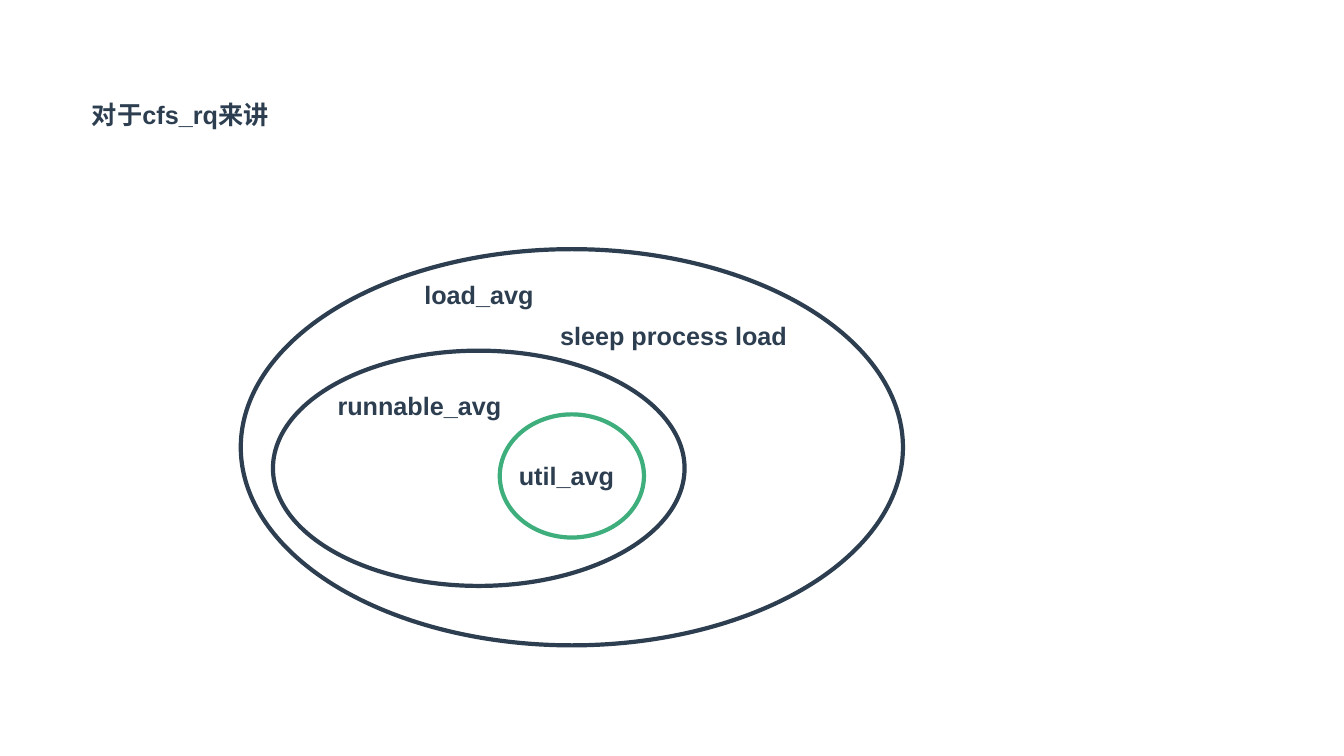
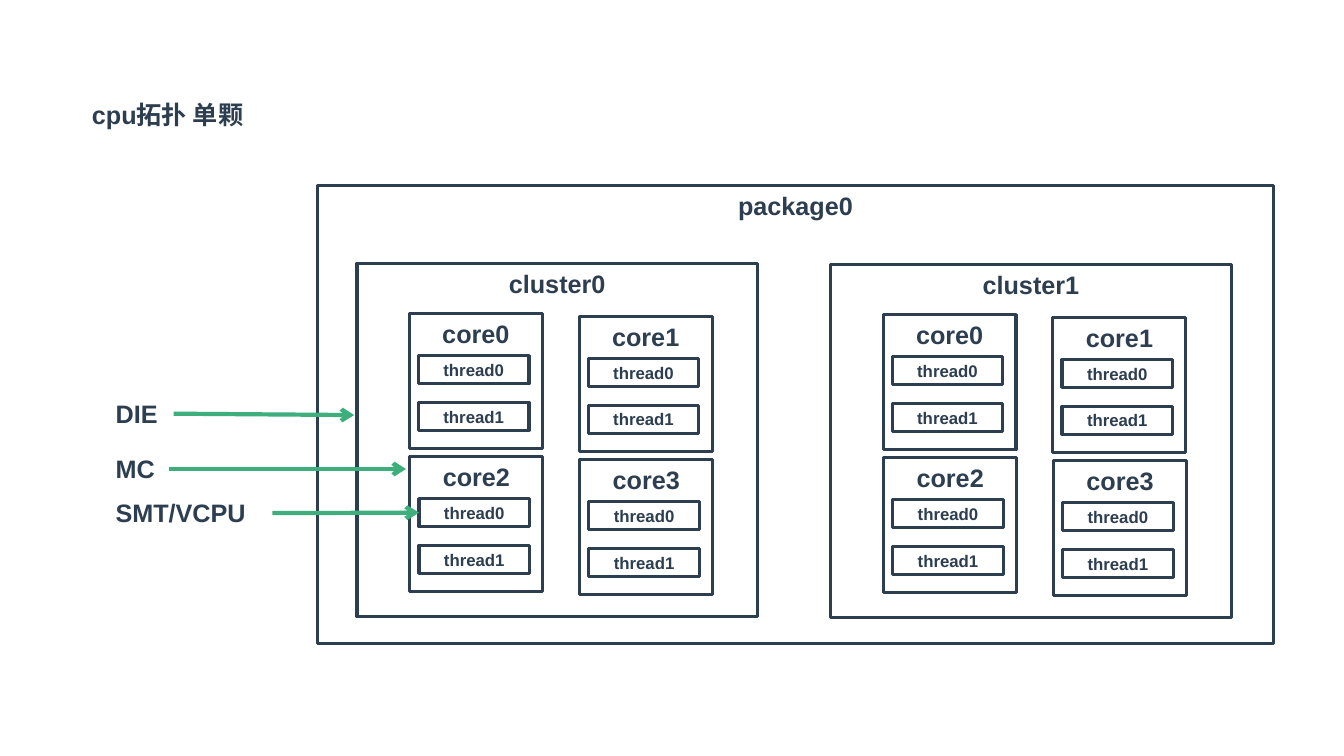
from dataclasses import dataclass
from itertools import product

from lxml.etree import SubElement
from pptx import Presentation
from pptx.dml.color import RGBColor
from pptx.enum.shapes import MSO_CONNECTOR as CONNECTOR, MSO_SHAPE as SHAPE
from pptx.enum.text import MSO_ANCHOR as ANCHOR, MSO_AUTO_SIZE as AUTO_SIZE, PP_ALIGN as ALIGN
from pptx.oxml.ns import qn
from pptx.util import Pt

NAVY, GREEN = "2C3E50", "3EAF7C"
FONT = "Arial"
LABEL_H = 29
RIGHT_SIDE, LEFT_SIDE = 3, 1


@dataclass(frozen=True)
class Box:
    x: float
    y: float
    w: float
    h: float = LABEL_H

    def lengths(self):
        return Pt(self.x), Pt(self.y), Pt(self.w), Pt(self.h)


@dataclass(frozen=True)
class Label:
    text: str
    box: Box


@dataclass(frozen=True)
class Ring:
    box: Box
    color: str = NAVY


@dataclass(frozen=True)
class Level:
    """A scheduling level: its label and the point its arrow reaches."""
    label: Label
    tip: tuple[float, float]
    joins_thread: bool = False


RINGS = [
    Ring(Box(172, 178, 473, 283)),
    Ring(Box(195, 250.5, 294, 168)),
    Ring(Box(357, 296, 103, 88), GREEN),
]
LOADS = [
    Label("sleep process load", Box(393, 225, 208)),
    Label("load_avg", Box(296, 196, 106)),
    Label("runnable_avg", Box(234, 275, 184)),
    Label("util_avg", Box(363.5, 325.5, 96)),
]
LEVELS = [
    Level(Label("DIE", Box(75.5, 281, 48.5)), (253, 296.5)),
    Level(Label("MC", Box(75.5, 320.5, 45.5)), (290, 335)),
    Level(Label("SMT/VCPU", Box(75.5, 352, 119)), (299, 366), joins_thread=True),
]

PACKAGE = Box(227, 132.5, 682.5, 327)
CLUSTER = Box(255, 188, 286, 252.5)
CLUSTER_STEP = (338.4, 0.7)
CORE_INSET, CORE_W, CORE_H = (37.4, 36), 95, 96.5
CORE_COLUMN, CORE_ROW = (121.3, 2.1), (0.4, 102.2)
THREAD_INSET, THREAD_W, THREAD_H, THREAD_STEP = (6.5, 30), 79, 20, 33.4


def rgb(color: str) -> RGBColor:
    return RGBColor.from_string(color)


def set_text(sp, text: str, *, size=18, color=NAVY, align=ALIGN.LEFT, anchor=ANCHOR.TOP):
    tf = sp.text_frame
    tf.word_wrap = True
    tf.auto_size = AUTO_SIZE.NONE
    tf.vertical_anchor = anchor
    p = tf.paragraphs[0]
    p.alignment = align
    p.line_spacing = 1.0
    r = p.add_run()
    r.text = text
    r.font.name, r.font.size, r.font.bold = FONT, Pt(size), True
    r.font.color.rgb = rgb(color)


def add_titled_slide(prs, title: str, width: float):
    s = prs.slides.add_slide(prs.slide_layouts[5])
    sp = s.shapes.title
    sp.left, sp.top, sp.width, sp.height = Box(58.5, 67, width).lengths()
    set_text(sp, title)
    return s


def add_label(s, label: Label):
    sp = s.shapes.add_textbox(*label.box.lengths())
    set_text(sp, label.text)
    return sp


def add_outline(s, kind, box: Box, *, color=NAVY, width=2.25):
    sp = s.shapes.add_shape(kind, *box.lengths())
    sp.shadow.inherit = False
    sp.fill.background()
    sp.line.color.rgb = rgb(color)
    sp.line.width = Pt(width)
    return sp


def add_block(s, text: str, box: Box, **text_format):
    sp = add_outline(s, SHAPE.RECTANGLE, box)
    set_text(sp, text, align=ALIGN.CENTER, **text_format)
    return sp


def add_core(s, index: int, box: Box):
    """Draw a core and return its first thread."""
    add_block(s, f"core{index}", box)
    dx, dy = THREAD_INSET
    threads = [
        add_block(s, f"thread{i}",
                  Box(box.x + dx, box.y + dy + i * THREAD_STEP, THREAD_W, THREAD_H),
                  size=12, anchor=ANCHOR.MIDDLE)
        for i in range(2)
    ]
    return threads[0]


def add_cluster(s, index: int):
    """Draw a cluster and return the first thread of each of its cores."""
    x = CLUSTER.x + index * CLUSTER_STEP[0]
    y = CLUSTER.y + index * CLUSTER_STEP[1]
    add_block(s, f"cluster{index}", Box(x, y, CLUSTER.w, CLUSTER.h))
    first_threads = []
    for core, (row, col) in enumerate(product(range(2), repeat=2)):
        left = x + CORE_INSET[0] + col * CORE_COLUMN[0] + row * CORE_ROW[0]
        top = y + CORE_INSET[1] + col * CORE_COLUMN[1] + row * CORE_ROW[1]
        first_threads.append(add_core(s, core, Box(left, top, CORE_W, CORE_H)))
    return first_threads


def add_level(s, level: Level, thread):
    sp = add_label(s, level.label)
    box = level.label.box
    arrow = s.shapes.add_connector(
        CONNECTOR.STRAIGHT, Pt(box.x + box.w), Pt(box.y + box.h / 2), *map(Pt, level.tip))
    arrow.begin_connect(sp, RIGHT_SIDE)
    if level.joins_thread:
        arrow.end_connect(thread, LEFT_SIDE)
    arrow.line.color.rgb = rgb(GREEN)
    arrow.line.width = Pt(3)
    properties = arrow.line._get_or_add_ln()
    SubElement(properties, qn("a:tailEnd"), type="arrow")
    SubElement(properties.getparent(), qn("a:effectLst"))


def build_load_slide(prs):
    s = add_titled_slide(prs, "对于cfs_rq来讲", 147)
    for ring in RINGS:
        add_outline(s, SHAPE.OVAL, ring.box, color=ring.color, width=3)
    for label in LOADS:
        add_label(s, label)


def build_topology_slide(prs):
    s = add_titled_slide(prs, "cpu拓扑 单颗", 129)
    add_block(s, "package0", PACKAGE)
    first_threads, _ = [add_cluster(s, i) for i in range(2)]
    for level in LEVELS:
        add_level(s, level, first_threads[2])


def main():
    prs = Presentation()
    prs.slide_width, prs.slide_height = Pt(960), Pt(540)
    build_load_slide(prs)
    build_topology_slide(prs)
    prs.save("out.pptx")


if __name__ == "__main__":
    main()
